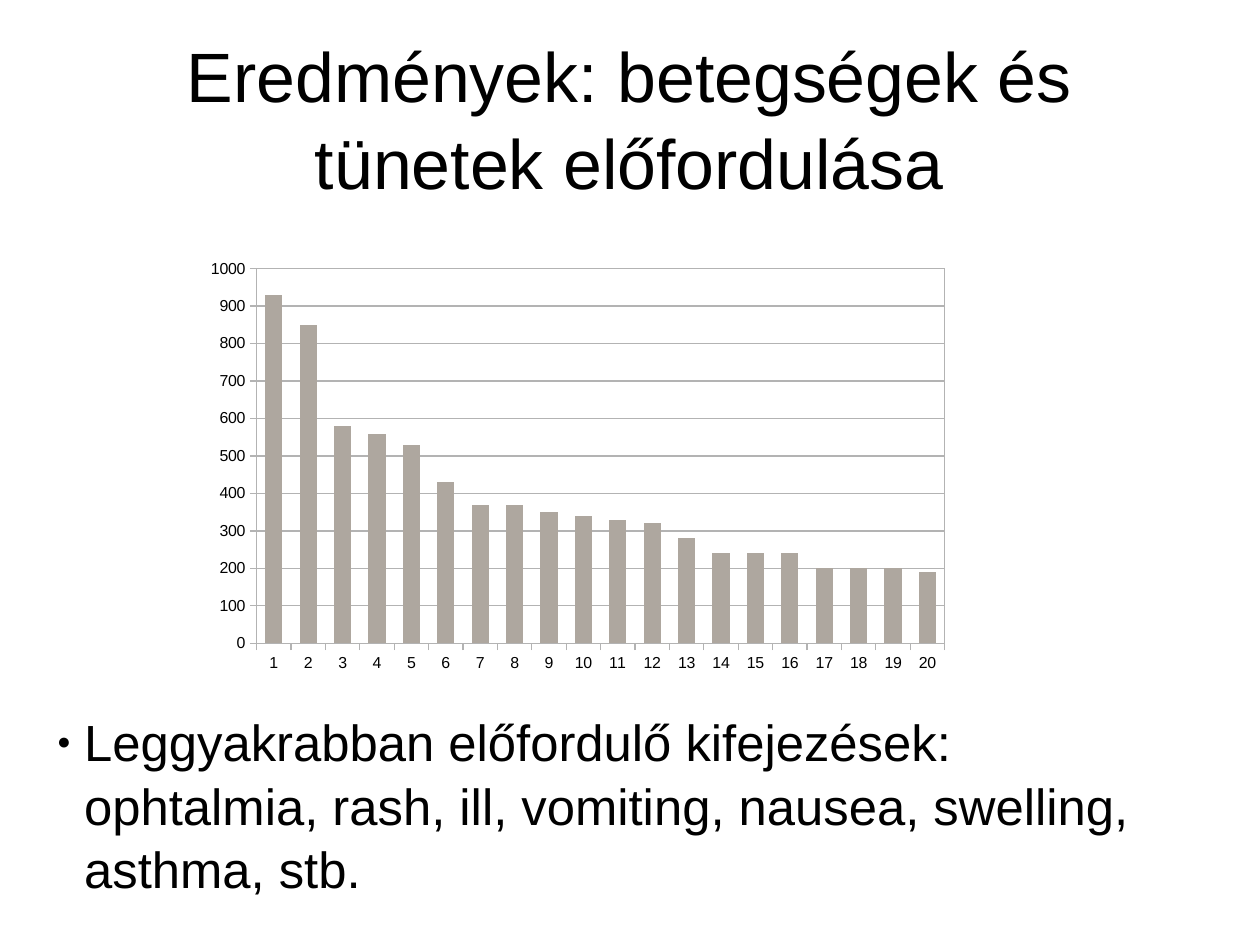
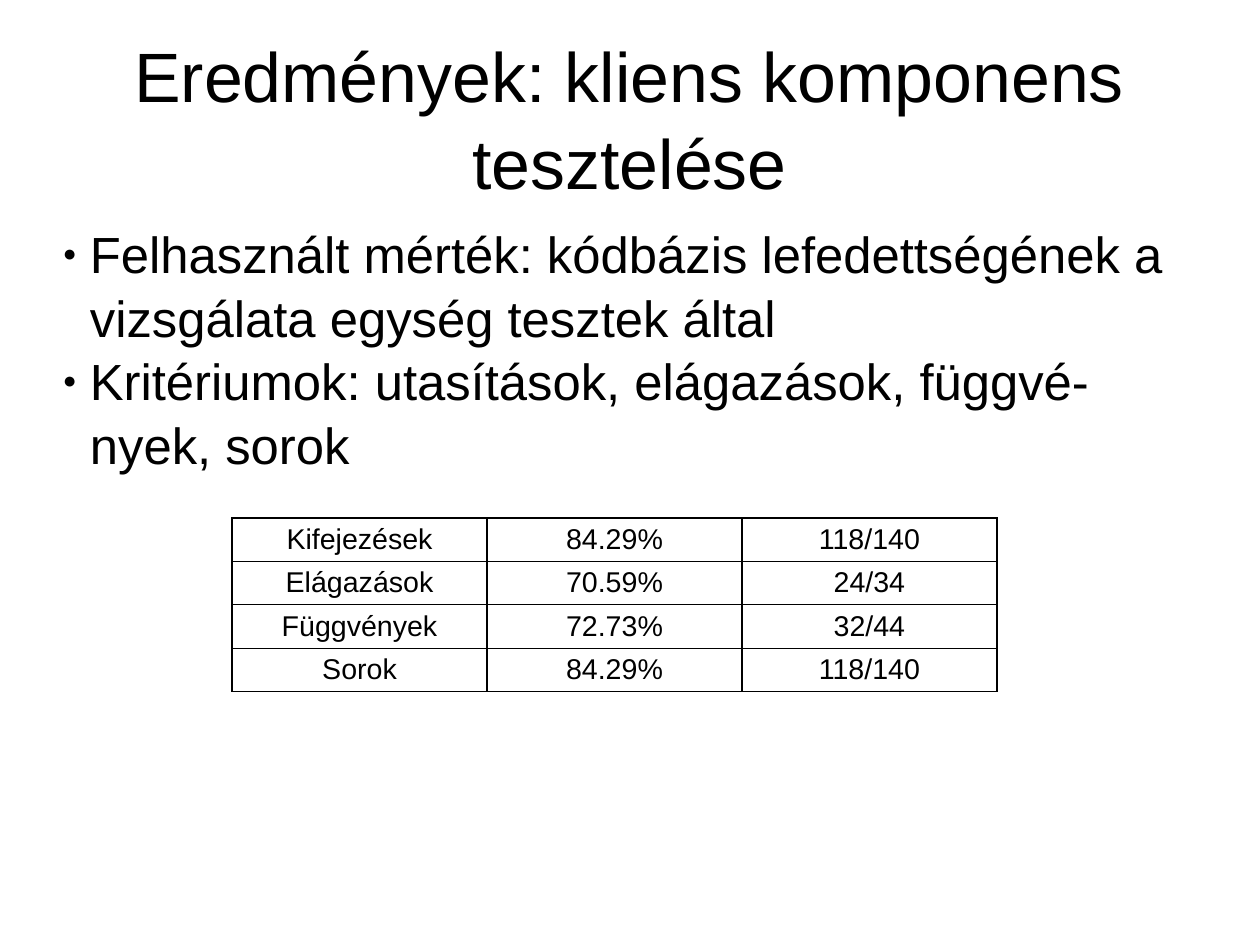
from lxml import etree
from pptx import Presentation
from pptx.chart.data import CategoryChartData
from pptx.dml.color import RGBColor
from pptx.enum import chart as ch, text
from pptx.oxml import parse_xml
from pptx.oxml.ns import nsdecls, qn
from pptx.util import Pt

BLACK = RGBColor(0x00, 0x00, 0x00)
WHITE = RGBColor(0xFF, 0xFF, 0xFF)
GRID = RGBColor(0xB3, 0xB3, 0xB3)
BAR = RGBColor(0xAE, 0xA7, 0x9F)
FONT = "Arial"
LINE_SPACING = 1.04
BULLET_INDENT = Pt(17)
CONTENT_LEFT, CONTENT_WIDTH = 39.6, 714.2

OCCURRENCES = [930, 850, 580, 560, 530, 430, 370, 370, 350, 340,
               330, 320, 280, 240, 240, 240, 200, 200, 200, 190]
COVERAGE = [
    ("Kifejezések", "84.29%", "118/140"),
    ("Elágazások", "70.59%", "24/34"),
    ("Függvények", "72.73%", "32/44"),
    ("Sorok", "84.29%", "118/140"),
]


def set_font(font, size):
    font.name = FONT
    font.size = Pt(size)
    font.color.rgb = BLACK


def fill_placeholder(sp, box, paragraphs, size, align, anchor):
    """Move a placeholder to box (points) and give it plain paragraphs."""
    sp.left, sp.top, sp.width, sp.height = map(Pt, box)
    tf = sp.text_frame
    tf.text = "\n".join(paragraphs)
    tf.auto_size = text.MSO_AUTO_SIZE.NONE
    tf.word_wrap = True
    tf.vertical_anchor = anchor
    tf.margin_left = tf.margin_top = tf.margin_right = tf.margin_bottom = 0
    for p in tf.paragraphs:
        p.alignment = align
        p.line_spacing = LINE_SPACING
        p.space_before = p.space_after = Pt(0)
        set_font(p.font, size)


def add_bullet(p):
    pPr = p._p.get_or_add_pPr()
    pPr.set("marL", str(BULLET_INDENT))
    pPr.set("indent", str(-BULLET_INDENT))
    bullet = [
        parse_xml(f'<a:buSzPct {nsdecls("a")} val="45000"/>'),
        parse_xml(f'<a:buFont {nsdecls("a")} typeface="{FONT}"/>'),
        parse_xml(f'<a:buChar {nsdecls("a")} char="●"/>'),
    ]
    pPr.find(qn("a:defRPr")).addprevious(bullet[0])
    bullet[0].addnext(bullet[1])
    bullet[1].addnext(bullet[2])


def add_content_slide(prs, title, bullets, left, top, height):
    s = prs.slides.add_slide(prs.slide_layouts[1])
    fill_placeholder(s.shapes.title, (CONTENT_LEFT, 23.8, CONTENT_WIDTH, 99.4),
                     [title], 44, text.PP_ALIGN.CENTER, text.MSO_ANCHOR.MIDDLE)
    body = s.placeholders[1]
    fill_placeholder(body, (left, top, CONTENT_WIDTH, height),
                     bullets, 32, text.PP_ALIGN.LEFT, text.MSO_ANCHOR.TOP)
    for p in body.text_frame.paragraphs:
        add_bullet(p)
    return s


def set_line(line):
    line.color.rgb = GRID
    line.width = Pt(0.75)


def format_plot_area(chart):
    """Place the plot inside the chart and frame it."""
    plot_area = chart._chartSpace.chart.plotArea
    for layout in plot_area.findall(qn("c:layout")):
        plot_area.remove(layout)
    places = "".join(f'<c:{name} val="{value}"/>' for name, value in (
        ("x", 0.08), ("y", 0.04), ("w", 0.9), ("h", 0.87)))
    plot_area.insert(0, parse_xml(
        f'<c:layout {nsdecls("c")}><c:manualLayout>'
        '<c:layoutTarget val="inner"/><c:xMode val="edge"/>'
        f'<c:yMode val="edge"/>{places}</c:manualLayout></c:layout>'))
    plot_area.append(parse_xml(
        f'<c:spPr {nsdecls("c", "a")}><a:noFill/><a:ln w="{Pt(0.75)}">'
        f'<a:solidFill><a:srgbClr val="{GRID}"/></a:solidFill></a:ln></c:spPr>'))


def add_column_chart(s, values, box):
    data = CategoryChartData()
    data.categories = [str(i) for i in range(1, len(values) + 1)]
    data.add_series("Series 1", values)
    chart = s.shapes.add_chart(ch.XL_CHART_TYPE.COLUMN_CLUSTERED,
                               *map(Pt, box), data).chart
    chart.has_legend = chart.has_title = False
    set_font(chart.font, 10)
    for axis in (chart.category_axis, chart.value_axis):
        axis.major_tick_mark = ch.XL_TICK_MARK.OUTSIDE
        set_line(axis.format.line)
    axis = chart.value_axis
    axis.minimum_scale, axis.maximum_scale, axis.major_unit = 0, 1000, 100
    axis.has_major_gridlines = True
    set_line(axis.major_gridlines.format.line)
    plot = chart.plots[0]
    plot.gap_width = 100
    plot.vary_by_categories = False
    fill = plot.series[0].format.fill
    fill.solid()
    fill.fore_color.rgb = BAR
    format_plot_area(chart)


def add_borders(cell):
    tcPr = cell._tc.get_or_add_tcPr()
    for i, side in enumerate(("lnL", "lnR", "lnT", "lnB")):
        ln = etree.Element(qn(f"a:{side}"), w=str(Pt(1)))
        fill = etree.SubElement(ln, qn("a:solidFill"))
        etree.SubElement(fill, qn("a:srgbClr"), val=str(BLACK))
        tcPr.insert(i, ln)


def add_grid_table(s, rows, left, top, column_width, row_height):
    n_rows, n_cols = len(rows), len(rows[0])
    table = s.shapes.add_table(
        n_rows, n_cols, Pt(left), Pt(top),
        Pt(column_width * n_cols), Pt(row_height * n_rows)).table
    table.first_row = table.horz_banding = False
    for i, row in enumerate(rows):
        for j, value in enumerate(row):
            cell = table.cell(i, j)
            cell.text = value
            cell.margin_top = cell.margin_bottom = Pt(3)
            cell.vertical_anchor = text.MSO_ANCHOR.MIDDLE
            cell.fill.solid()
            cell.fill.fore_color.rgb = WHITE
            p = cell.text_frame.paragraphs[0]
            p.alignment = text.PP_ALIGN.CENTER
            set_font(p.font, 18)
            add_borders(cell)


def main():
    prs = Presentation()
    prs.slide_width, prs.slide_height = Pt(793.7), Pt(595.3)

    s = add_content_slide(
        prs, "Eredmények: betegségek és tünetek előfordulása",
        ["Leggyakrabban előfordulő kifejezések: ophtalmia, rash, ill, "
         "vomiting, nausea, swelling, asthma, stb."],
        36, 446.4, 124.6)
    add_column_chart(s, OCCURRENCES, (123.1, 158.4, 481.7, 271.4))

    s = add_content_slide(
        prs, "Eredmények: kliens komponens tesztelése",
        ["Felhasznált mérték: kódbázis lefedettségének a vizsgálata "
         "egység tesztek által",
         "Kritériumok: utasítások, elágazások, függvé-nyek, sorok"],
        CONTENT_LEFT, 139, 170.6)
    add_grid_table(s, COVERAGE, 146.2, 326.2, 160.6, 27.4)

    prs.save("out.pptx")


if __name__ == "__main__":
    main()
